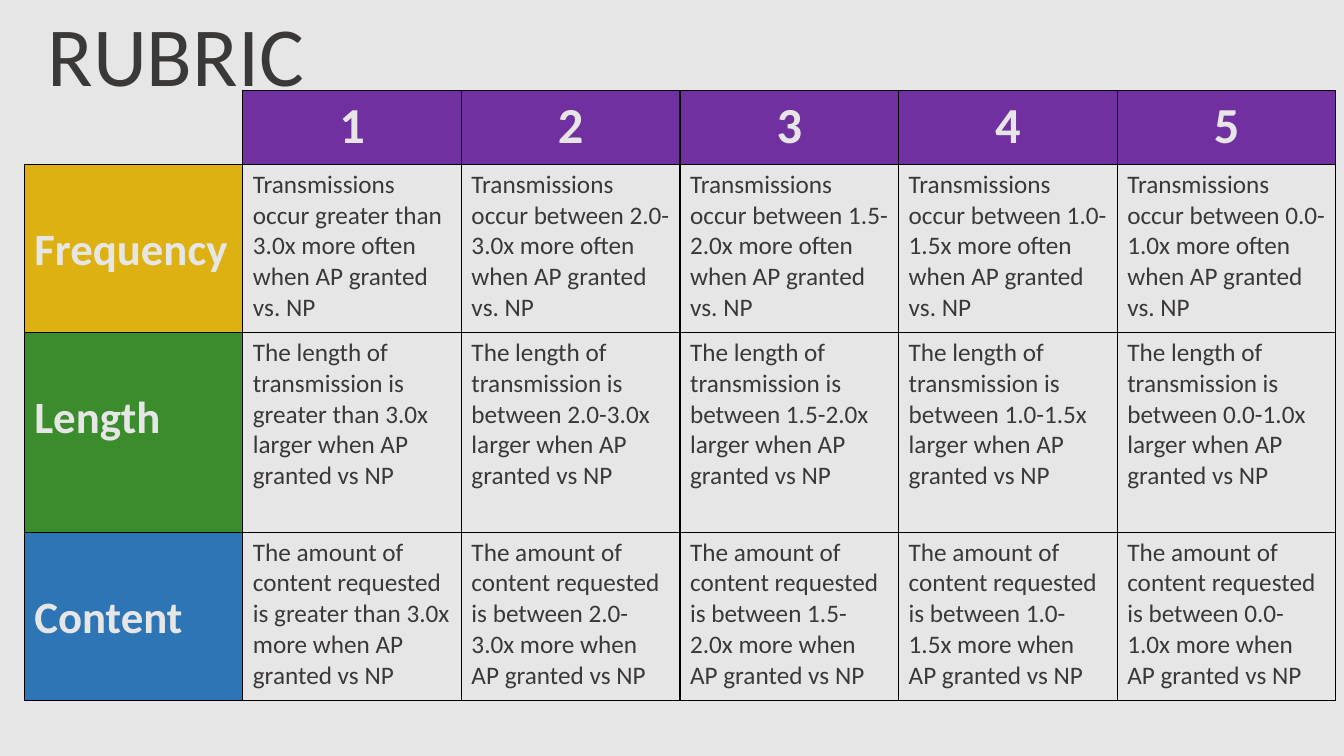
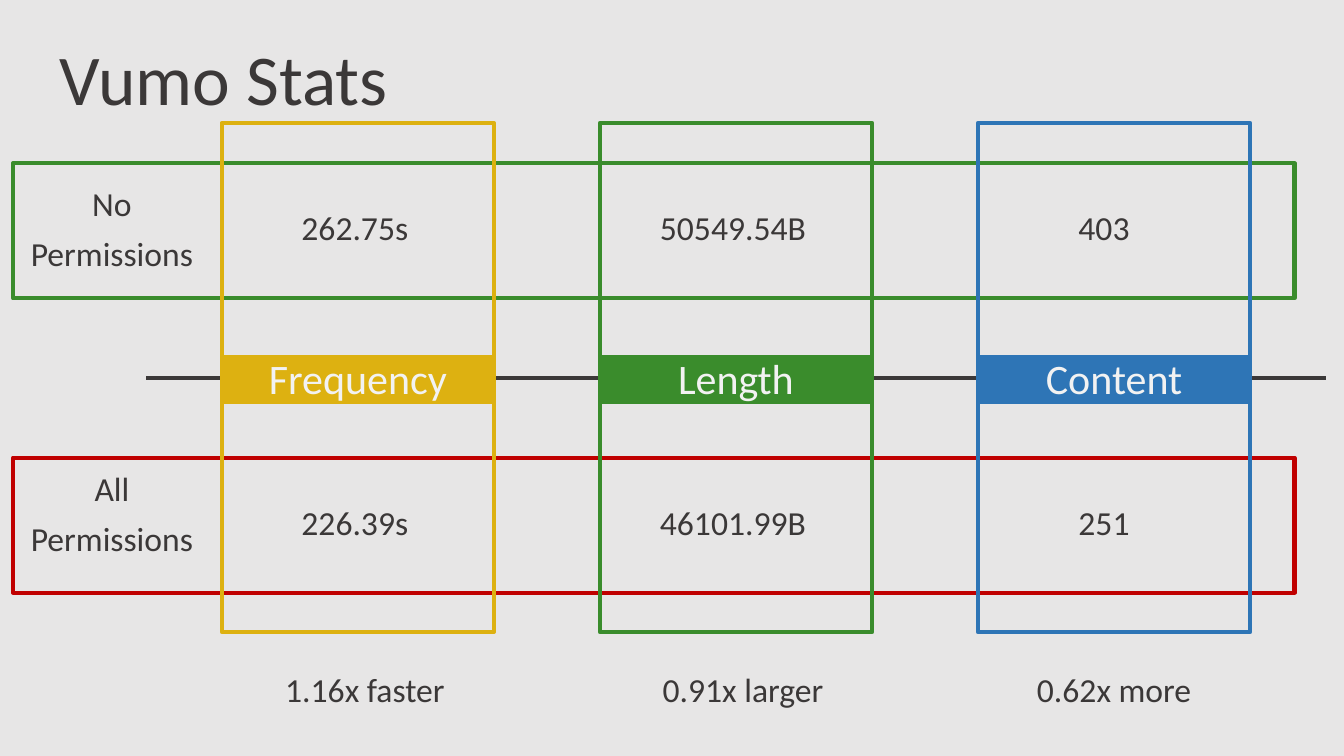
from dataclasses import dataclass
from typing import NamedTuple

from lxml import etree
from pptx import Presentation
from pptx.dml.color import RGBColor
from pptx.enum.shapes import MSO_CONNECTOR, MSO_SHAPE
from pptx.enum.text import MSO_ANCHOR, PP_ALIGN
from pptx.oxml.ns import qn
from pptx.util import Inches, Pt

LEFT = PP_ALIGN.LEFT
CENTER = PP_ALIGN.CENTER
TOP = MSO_ANCHOR.TOP
RECT = MSO_SHAPE.RECTANGLE
STRAIGHT = MSO_CONNECTOR.STRAIGHT


@dataclass(frozen=True)
class Theme:
    font: str = "Calibri"
    paper: str = "E7E6E6"
    ink: str = "3B3838"
    pale: str = "F2F2F2"
    border: str = "000000"
    purple: str = "7030A0"
    gold: str = "DDB111"
    green: str = "3A8C2C"
    blue: str = "2E75B6"
    red: str = "C00000"
    rubric_title: int = 60
    stats_title: int = 51
    score: int = 36
    criterion: int = 32
    bar: int = 30
    value: int = 24
    body: int = 18
    rule: int = 3
    hairline: int = 1


T = Theme()


class Box(NamedTuple):
    x: float
    y: float
    w: float
    h: float

    def lengths(self) -> list:
        return [Inches(v) for v in self]


class Criterion(NamedTuple):
    name: str
    color: str
    row_height: float
    wording: str


class Metric(NamedTuple):
    criterion: Criterion
    no_permissions: str
    all_permissions: str
    change: str
    value_shift: float
    change_shift: float


class Band(NamedTuple):
    label: str
    color: str
    y: float
    label_y: float
    value_y: float


FREQUENCY = Criterion("Frequency", T.gold, 1.67,
                      "Transmissions occur {} more often when AP granted vs. NP")
LENGTH = Criterion("Length", T.green, 1.98,
                   "The length of transmission is {} larger when AP granted vs NP")
CONTENT = Criterion("Content", T.blue, 1.67,
                    "The amount of content requested is {} more when AP granted vs NP")
CRITERIA = (FREQUENCY, LENGTH, CONTENT)

RANGES = ("greater than 3.0x", "between 2.0-3.0x", "between 1.5-2.0x",
          "between 1.0-1.5x", "between 0.0-1.0x")

METRICS = (
    Metric(FREQUENCY, "262.75s", "226.39s", "1.16x faster", -0.03, 0.07),
    Metric(LENGTH, "50549.54B", "46101.99B", "0.91x larger", -0.03, 0.07),
    Metric(CONTENT, "403", "251", "0.62x more", -0.1, 0),
)
NO_PERMISSIONS = Band("No\nPermissions", T.green, 1.62, 1.81, 2.05)
ALL_PERMISSIONS = Band("All\nPermissions", T.red, 4.54, 4.64, 4.98)

COLUMN_X, COLUMN_STEP, COLUMN_W = 2.2, 3.75, 2.7


def rgb(color: str) -> RGBColor:
    return RGBColor.from_string(color)


def set_all(target, values: dict) -> None:
    for name, value in values.items():
        setattr(target, name, value)


def write(tf, text: str, size: int, color: str, bold: bool = False,
          paragraph: dict | None = None) -> None:
    for i, line in enumerate(text.split("\n")):
        p = tf.paragraphs[0] if i == 0 else tf.add_paragraph()
        set_all(p, paragraph or {})
        r = p.add_run()
        r.text = line
        set_all(r.font, {"name": T.font, "size": Pt(size), "bold": bold})
        r.font.color.rgb = rgb(color)


def add_text(slide, box: Box, text: str, size: int, color: str = T.ink,
             align: PP_ALIGN = CENTER) -> None:
    tf = slide.shapes.add_textbox(*box.lengths()).text_frame
    set_all(tf, {"word_wrap": True, "vertical_anchor": TOP})
    write(tf, text, size, color, paragraph={
        "alignment": align, "line_spacing": 0.9, "space_before": Pt(10)})


def add_rect(slide, box: Box, color: str, width: int, filled: bool = False) -> None:
    sp = slide.shapes.add_shape(RECT, *box.lengths())
    sp.shadow.inherit = False
    if filled:
        sp.fill.solid()
        sp.fill.fore_color.rgb = rgb(color)
    else:
        sp.fill.background()
    sp.line.color.rgb = rgb(color)
    sp.line.width = Pt(width)


def add_axis(slide, x1: float, x2: float, y: float) -> None:
    line = slide.shapes.add_connector(STRAIGHT, Inches(x1), Inches(y),
                                      Inches(x2), Inches(y))
    line.line.color.rgb = rgb(T.ink)
    line.line.width = Pt(T.rule)
    etree.SubElement(line._element.spPr, qn("a:effectLst"))


def set_borders(cell, sides: str) -> None:
    tc_pr = cell._tc.get_or_add_tcPr()
    for i, side in enumerate("LRTB"):
        ln = etree.Element(qn(f"a:ln{side}"), w=str(Pt(T.hairline)))
        if side in sides:
            fill = etree.SubElement(ln, qn("a:solidFill"))
            etree.SubElement(fill, qn("a:srgbClr"), val=T.border)
        else:
            etree.SubElement(ln, qn("a:noFill"))
        tc_pr.insert(i, ln)


def fill_cell(cell, text: str, size: int, color: str, fill: str | None = None,
              bold: bool = False, align: PP_ALIGN = LEFT, sides: str = "LRTB") -> None:
    if fill:
        cell.fill.solid()
        cell.fill.fore_color.rgb = rgb(fill)
    else:
        cell.fill.background()
    if text:
        write(cell.text_frame, text, size, color, bold, {"alignment": align})
    set_borders(cell, sides)


def new_slide(prs):
    slide = prs.slides.add_slide(prs.slide_layouts[6])
    slide.background.fill.solid()
    slide.background.fill.fore_color.rgb = rgb(T.paper)
    return slide


def build_rubric(prs) -> None:
    slide = new_slide(prs)
    add_text(slide, Box(0.1, 0.09, 3.29, 1.2), "RUBRIC", T.rubric_title)
    heights = [0.73] + [c.row_height for c in CRITERIA]
    box = Box(0.24, 0.9, 13.01, sum(heights))
    columns = len(RANGES) + 1
    table = slide.shapes.add_table(len(heights), columns, *box.lengths()).table
    set_all(table, {"first_row": False, "horz_banding": False})
    for column in table.columns:
        column.width = Inches(box.w / columns)
    for row, height in zip(table.rows, heights):
        row.height = Inches(height)

    fill_cell(table.cell(0, 0), "", T.body, T.ink, sides="RB")
    for score in range(1, columns):
        fill_cell(table.cell(0, score), str(score), T.score, T.paper, T.purple,
                  bold=True, align=CENTER)
    for i, criterion in enumerate(CRITERIA, 1):
        label = table.cell(i, 0)
        label.margin_top = Inches(0.58)
        fill_cell(label, criterion.name, T.criterion, T.paper, criterion.color, bold=True)
        for j, span in enumerate(RANGES, 1):
            fill_cell(table.cell(i, j), criterion.wording.format(span), T.body, T.ink)


def build_stats(prs) -> None:
    slide = new_slide(prs)
    for band in (ALL_PERMISSIONS, NO_PERMISSIONS):
        add_rect(slide, Box(0.13, band.y, 12.71, 1.34), band.color, T.rule)
        add_text(slide, Box(0, band.label_y, 2.22, 1.1), band.label, T.value)
    add_text(slide, Box(0.49, 0.39, 7.2, 1.22), "Vumo Stats", T.stats_title, align=LEFT)
    add_axis(slide, 1.45, 13.15, 3.75)

    for i, metric in enumerate(METRICS):
        x = COLUMN_X + i * COLUMN_STEP
        name, color = metric.criterion.name, metric.criterion.color
        add_rect(slide, Box(x, 3.53, COLUMN_W, 0.47), color, T.hairline, filled=True)
        add_text(slide, Box(x, 3.51, COLUMN_W, 0.63), name, T.bar, T.pale)
        add_rect(slide, Box(x, 1.22, COLUMN_W, 5.05), color, T.rule)
        for text, shift, y in (
            (metric.no_permissions, metric.value_shift, NO_PERMISSIONS.value_y),
            (metric.all_permissions, metric.value_shift, ALL_PERMISSIONS.value_y),
            (metric.change, metric.change_shift, 6.63),
        ):
            add_text(slide, Box(x + shift, y, COLUMN_W, 0.6), text, T.value)


def main() -> None:
    prs = Presentation()
    set_all(prs, {"slide_width": Inches(13.33), "slide_height": Inches(7.5)})
    build_rubric(prs)
    build_stats(prs)
    prs.save("out.pptx")


if __name__ == "__main__":
    main()
